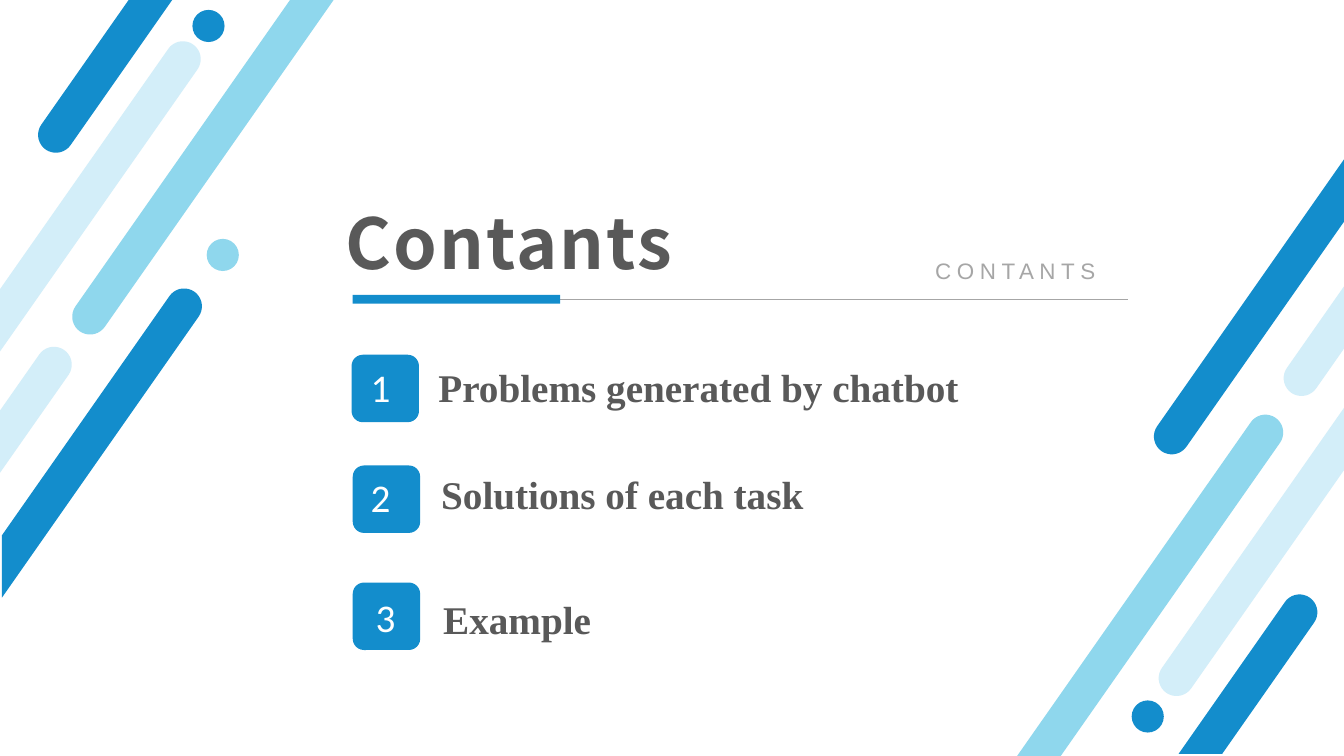
"""Build the contents slide with slanted bars and three numbered entries."""
from math import cos, pi, radians, sin

from lxml import etree
from pptx import Presentation
from pptx.dml.color import RGBColor
from pptx.enum.shapes import MSO_CONNECTOR, MSO_SHAPE
from pptx.enum.text import MSO_ANCHOR, MSO_AUTO_SIZE, PP_ALIGN
from pptx.oxml.ns import qn
from pptx.util import Cm, Pt

BLUE = RGBColor(0x13, 0x8D, 0xCC)
SKY = RGBColor(0x8F, 0xD7, 0xED)
PALE = RGBColor(0xD3, 0xEE, 0xF9)
DARK = RGBColor(0x59, 0x59, 0x59)
GREY = RGBColor(0xA6, 0xA6, 0xA6)
WHITE = RGBColor(0xFF, 0xFF, 0xFF)

OVAL = MSO_SHAPE.OVAL
RECTANGLE = MSO_SHAPE.RECTANGLE
ROUNDED = MSO_SHAPE.ROUNDED_RECTANGLE
STRAIGHT = MSO_CONNECTOR.STRAIGHT
TOP, BOTTOM = MSO_ANCHOR.TOP, MSO_ANCHOR.BOTTOM
LEFT, CENTER = PP_ALIGN.LEFT, PP_ALIGN.CENTER
FIT_SHAPE, NO_FIT = MSO_AUTO_SIZE.SHAPE_TO_FIT_TEXT, MSO_AUTO_SIZE.NONE

TILT = 35
BAR_RADIUS = 0.45
DOT_SIZE = 0.81
BADGE_SIZE = 1.7
TEXT_HEIGHT = 1.45

# Round end x, y, axis of the cutting edge, position of that edge, colour
LEFT_BARS = [
    (4.64, 7.72, "x", 0.05, BLUE),
    (1.36, 9.19, "x", -0.1, PALE),
    (2.27, 7.98, "y", -0.08, SKY),
    (4.61, 1.49, "x", -0.08, PALE),
    (1.41, 3.4, "y", -0.1, BLUE),
]
RIGHT_BARS = [
    (29.53, 11, "x", 33.87, BLUE),
    (32.8, 9.53, "x", 33.99, PALE),
    (31.89, 10.9, "y", 19.1, SKY),
    (29.65, 17.09, "x", 33.99, PALE),
    (32.75, 15.43, "y", 19, BLUE),
]
DOTS = [(5.21, 6.02, SKY), (4.85, 0.25, BLUE), (28.52, 17.65, BLUE)]
# Number, badge x, y, number box x, y, width, entry, entry x, y, width
ENTRIES = [
    ("1", 8.86, 8.94, 9.09, 9.02, 1.8,
     "Problems generated by chatbot", 10.8, 9.02, 16.97),
    ("2", 8.89, 11.73, 9.09, 11.81, 0.91,
     "Solutions of each task", 10.87, 11.73, 16.05),
    ("3", 8.89, 14.68, 9.22, 14.83, 1.22,
     "Example", 10.92, 14.88, 16.05),
]


class SlidePainter:
    """Hold the current slide and draw styled elements on it."""

    def __init__(self, slide):
        self.shapes = slide.shapes

    def paint(self, shape, color):
        """Give a shape a plain fill without outline or shadow."""
        shape.shadow.inherit = False
        shape.fill.solid()
        shape.fill.fore_color.rgb = color
        shape.line.fill.background()
        return shape

    def preset(self, kind, left, top, width, height, color):
        """Draw a filled preset shape."""
        shape = self.shapes.add_shape(
            kind, Cm(left), Cm(top), Cm(width), Cm(height))
        return self.paint(shape, color)

    def bar(self, x, y, axis, edge, color):
        """Draw a tilted bar from its round end to the cutting edge."""
        sine, cosine = sin(radians(TILT)), cos(radians(TILT))

        def reach(offset):
            """Return how far the side at this offset runs to the edge."""
            if axis == "x":
                return (x + offset * cosine - edge) / sine
            return (edge - y - offset * sine) / cosine

        right, left = reach(BAR_RADIUS), reach(-BAR_RADIUS)
        sign = 1 if right > 0 else -1
        middle = sign * (max(abs(right), abs(left)) - BAR_RADIUS) / 2
        center_x, center_y = x - middle * sine, y + middle * cosine
        arc = [(BAR_RADIUS * cos(step * pi / 18),
                -sign * BAR_RADIUS * sin(step * pi / 18))
               for step in range(19)]
        outline = [(BAR_RADIUS, right), *arc, (-BAR_RADIUS, left)]
        points = [(Cm(center_x + across), Cm(center_y + along - middle))
                  for across, along in outline]
        builder = self.shapes.build_freeform(*points[0])
        builder.add_line_segments(points[1:], close=True)
        shape = self.paint(builder.convert_to_shape(), color)
        shape.rotation = TILT

    def line(self, left, right, y, color, width):
        """Draw a horizontal line."""
        connector = self.shapes.add_connector(
            STRAIGHT, Cm(left), Cm(y), Cm(right), Cm(y))
        connector.line.color.rgb = color
        connector.line.width = Pt(width)
        etree.SubElement(connector._element.spPr, qn("a:effectLst"))
        return connector

    def text(self, text, left, top, width, height=TEXT_HEIGHT, *, font,
             size=28, color=DARK, bold=False, spacing=0, after=0,
             align=LEFT, anchor=TOP, fit=FIT_SHAPE):
        """Write one formatted paragraph in a text box."""
        box = self.shapes.add_textbox(
            Cm(left), Cm(top), Cm(width), Cm(height))
        frame = box.text_frame
        frame.word_wrap = True
        frame.auto_size = fit
        frame.vertical_anchor = anchor
        paragraph = frame.paragraphs[0]
        paragraph.alignment = align
        paragraph.space_after = Pt(after)
        run = paragraph.add_run()
        run.text = text
        run.font.name = font
        run.font.size = Pt(size)
        run.font.bold = bold
        run.font.color.rgb = color
        if spacing:
            run._r.get_or_add_rPr().set("spc", str(int(spacing * 100)))


def main():
    """Build and save the slide."""
    presentation = Presentation()
    presentation.slide_width = Cm(33.87)
    presentation.slide_height = Cm(19.05)
    painter = SlidePainter(
        presentation.slides.add_slide(presentation.slide_layouts[6]))

    for bar in LEFT_BARS + RIGHT_BARS:
        painter.bar(*bar)
    for x, y, color in DOTS:
        painter.preset(OVAL, x, y, DOT_SIZE, DOT_SIZE, color)

    rule = painter.line(8.89, 28.42, 7.54, GREY, 0.5)
    accent = painter.preset(RECTANGLE, 8.89, 7.43, 5.23, 0.22, BLUE)
    rule.begin_connect(accent, 1)
    painter.text("Contants", 8.46, 4.75, 24.41, 2.51,
                 font="Noto Sans CJK SC", size=50, bold=True, spacing=1.5,
                 after=10, anchor=BOTTOM, fit=NO_FIT)
    painter.text("CONTANTS", 22.43, 6.35, 6.32, 0.94, font="Arial", size=16,
                 color=GREY, spacing=4, align=CENTER)

    for (number, badge_x, badge_y, number_x, number_y, number_width,
         entry, entry_x, entry_y, entry_width) in ENTRIES:
        painter.preset(
            ROUNDED, badge_x, badge_y, BADGE_SIZE, BADGE_SIZE, BLUE)
        painter.text(number, number_x, number_y, number_width,
                     font="Calibri", color=WHITE)
        painter.text(entry, entry_x, entry_y, entry_width,
                     font="Times New Roman", bold=True)

    presentation.save("out.pptx")


if __name__ == "__main__":
    main()
